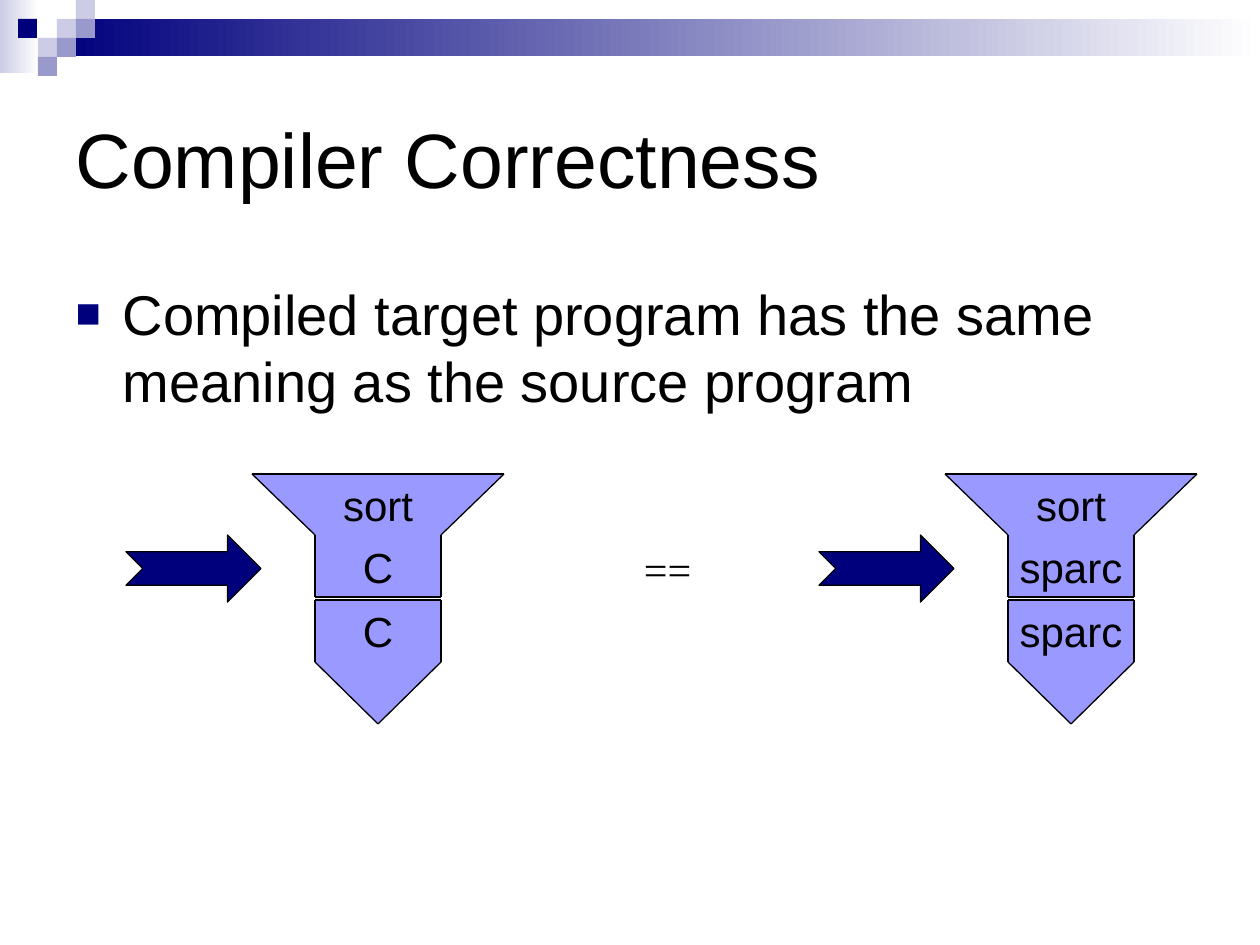
from lxml import etree
from pptx import Presentation
from pptx.dml.color import RGBColor
from pptx.enum.shapes import MSO_CONNECTOR, MSO_SHAPE
from pptx.enum.text import MSO_ANCHOR, MSO_AUTO_SIZE, PP_ALIGN
from pptx.oxml.ns import qn
from pptx.util import Pt

RECTANGLE = MSO_SHAPE.RECTANGLE
ARROW = MSO_SHAPE.NOTCHED_RIGHT_ARROW
STRAIGHT = MSO_CONNECTOR.STRAIGHT
TOP, MIDDLE = MSO_ANCHOR.TOP, MSO_ANCHOR.MIDDLE
LEFT, CENTER = PP_ALIGN.LEFT, PP_ALIGN.CENTER
NO_FIT = MSO_AUTO_SIZE.NONE

BLACK = RGBColor(0x00, 0x00, 0x00)
WHITE = RGBColor(0xFF, 0xFF, 0xFF)
NAVY = RGBColor(0x00, 0x00, 0x7D)
LILAC = RGBColor(0x99, 0x99, 0xFF)
PALE = RGBColor(0xCC, 0xCC, 0xE6)
MUTED = RGBColor(0x99, 0x99, 0xCC)

SCALE = 914400 / 126
SQUARE = 19
SQUARES = [
    (57, 19, PALE), (76, 0, PALE), (76, 19, MUTED), (38, 38, PALE),
    (18, 19, NAVY), (57, 38, MUTED), (38, 57, MUTED),
]
FADES = [((0, 0, 39, 73), PALE), ((57, 19, 1203, 37), NAVY)]
PROGRAMS = [(378, "C"), (1071, "sparc")]
FUNNEL = [(-126, 474), (126, 474), (63, 535), (63, 597), (-63, 597), (-63, 535)]
MACHINE = [(-63, 600), (63, 600), (63, 662), (0, 724), (-63, 662)]
BOWL = FUNNEL[:3] + FUNNEL[5:]
TIP = MACHINE[2:]
BLOCK_TOPS = [535, 600]
LABEL_TOPS = [473, 535, 599]
LABEL_WIDTHS = {"sort": 94, "C": 55, "sparc": 127}


def px(length):
    return round(length * SCALE)


def frame(*lengths):
    return [px(length) for length in lengths]


def apply(target, values):
    for name, value in values.items():
        setattr(target, name, value)


def write(box, text, size, font="Arial", align=LEFT, anchor=TOP, wrap=True):
    apply(box.text_frame,
          {"word_wrap": wrap, "auto_size": NO_FIT, "vertical_anchor": anchor})
    para = box.text_frame.paragraphs[0]
    para.alignment = align
    span = para.add_run()
    span.text = text
    apply(span.font, {"name": font, "size": Pt(size)})
    span.font.color.rgb = BLACK
    return para


def ink(line):
    line.color.rgb = BLACK
    line.width = Pt(0.75)


def style(shape, color):
    shape.shadow.inherit = False
    shape.fill.solid()
    shape.fill.fore_color.rgb = color
    shape.line.fill.background()


def add_block(page, bounds, color, kind=RECTANGLE):
    block = page.shapes.add_shape(kind, *frame(*bounds))
    style(block, color)
    return block


def add_fade(page, bounds, color):
    band = add_block(page, bounds, color)
    band.fill.gradient()
    band.fill.gradient_angle = 0
    stops = band.fill.gradient_stops
    for stop, shade, position in zip(stops, (color, WHITE), (0, 1)):
        stop.color.rgb = shade
        stop.position = position


def add_header(page):
    for bounds, color in FADES:
        add_fade(page, bounds, color)
    for left, top, color in SQUARES:
        add_block(page, (left, top, SQUARE, SQUARE), color)


def add_bullet(para):
    properties = para._p.get_or_add_pPr()
    para.space_before = Pt(7.9)
    properties.set("marL", str(px(47)))
    properties.set("indent", str(px(-47)))
    color = etree.SubElement(properties, qn("a:buClr"))
    etree.SubElement(color, qn("a:srgbClr"), val=str(NAVY))
    etree.SubElement(properties, qn("a:buSzPct"), val="75000")
    etree.SubElement(properties, qn("a:buFont"), typeface="Arial")
    etree.SubElement(properties, qn("a:buChar"), char="■")


def place(placeholder, bounds):
    apply(placeholder, dict(zip(("left", "top", "width", "height"), frame(*bounds))))


def add_label(page, bounds, text, **options):
    box = page.shapes.add_textbox(*frame(*bounds))
    write(box, text, 24, wrap=False, **options)
    return box


def add_polygon(page, center, points):
    corners = [(px(center + x), px(y)) for x, y in points]
    builder = page.shapes.build_freeform(*corners[0])
    builder.add_line_segments(corners[1:], close=True)
    style(builder.convert_to_shape(), LILAC)


def add_edges(page, center, points):
    for start, end in zip(points, points[1:] + points[:1]):
        edge = page.shapes.add_connector(
            STRAIGHT, *frame(center + start[0], start[1], center + end[0], end[1]))
        ink(edge.line)
        etree.SubElement(edge._element.spPr, qn("a:effectLst"))


def add_program(page, center, language):
    ink(add_block(page, (center - 252, 535, 135, 67), NAVY, ARROW).line)
    for top in BLOCK_TOPS:
        add_block(page, (center - 63, top, 126, 62), LILAC)
    for points in (BOWL, TIP):
        add_polygon(page, center, points)
    for points in (FUNNEL, MACHINE):
        add_edges(page, center, points)
    for top, text in zip(LABEL_TOPS, ("sort", language, language)):
        width = LABEL_WIDTHS[text]
        add_label(page, (center - width / 2, top, width, 63), text,
                  align=CENTER, anchor=MIDDLE)


def main():
    deck = Presentation()
    apply(deck, {"slide_width": px(1260), "slide_height": px(945)})
    page = deck.slides.add_slide(deck.slide_layouts[1])
    title, body = page.placeholders
    place(title, (63, 63, 1134, 189))
    write(title, "Compiler Correctness", 44, anchor=MIDDLE)
    place(body, (63, 273, 1134, 536))
    add_bullet(write(
        body, "Compiled target program has the same meaning as the source program", 32))
    add_header(page)
    for center, language in PROGRAMS:
        add_program(page, center, language)
    equals = add_label(page, (630, 535, 74, 67), "==", font="Times New Roman")
    apply(equals.text_frame, {"margin_left": px(14), "margin_right": px(14),
                              "margin_top": px(8), "margin_bottom": px(8)})
    deck.save("out.pptx")


if __name__ == "__main__":
    main()
